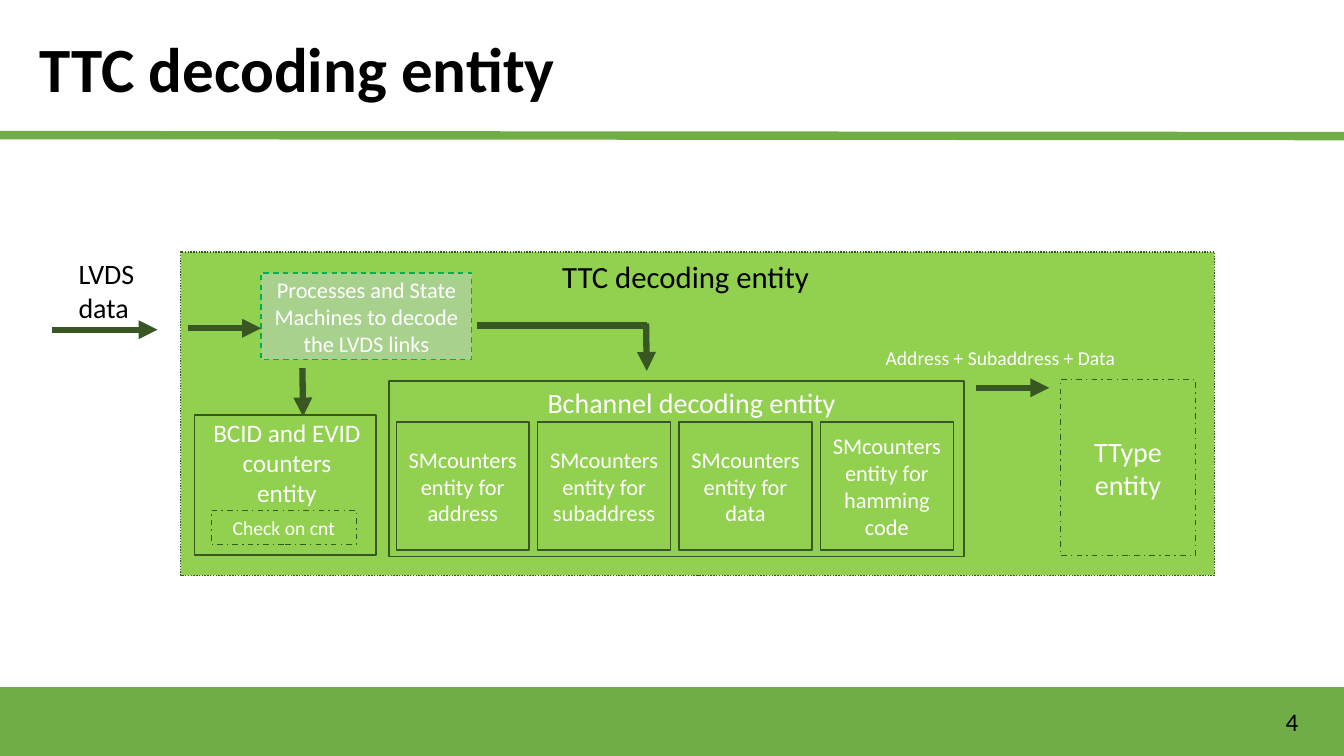
"""Builds the slide with the block diagram of the TTC decoding entity."""
from lxml.etree import SubElement
from pptx import Presentation
from pptx.dml.color import RGBColor
from pptx.enum.dml import MSO_LINE_DASH_STYLE as Dash
from pptx.enum.shapes import MSO_CONNECTOR as Connector, MSO_SHAPE as Shape
from pptx.enum.text import MSO_ANCHOR as Anchor, MSO_AUTO_SIZE as AutoSize, PP_ALIGN as Align
from pptx.oxml.ns import qn
from pptx.util import Pt

BLACK, WHITE = "000000", "FFFFFF"
BAND, BLOCK, EDGE = "70AD47", "92D050", "385723"
PALE, PALE_EDGE = "A9D18E", "00B050"


def color(hex_code):
    return RGBColor.from_string(hex_code)


class Diagram:
    font = "Calibri"

    def __init__(self, slide):
        self.slide = slide
        self.shapes = slide.shapes

    def add_lines(self, frame, lines, size, ink, align, bold=False):
        for index, line in enumerate(lines):
            paragraph = frame.add_paragraph() if index else frame.paragraphs[0]
            paragraph.alignment = align
            run = paragraph.add_run()
            run.text = line
            run.font.name = self.font
            run.font.size = Pt(size)
            run.font.bold = bold
            run.font.color.rgb = color(ink)

    def title(self, text, left, top, width, height):
        heading = self.shapes.title
        heading.left, heading.top = Pt(left), Pt(top)
        heading.width, heading.height = Pt(width), Pt(height)
        frame = heading.text_frame
        frame.vertical_anchor = Anchor.MIDDLE
        self.add_lines(frame, [text], 45, BLACK, Align.LEFT, bold=True)
        frame.paragraphs[0].line_spacing = 0.9

    def block(self, left, top, width, height, text="", size=16,
              fill=BLOCK, edge=EDGE, dash=None):
        block = self.shapes.add_shape(Shape.RECTANGLE, Pt(left), Pt(top), Pt(width), Pt(height))
        block.shadow.inherit = False
        block.fill.solid()
        block.fill.fore_color.rgb = color(fill)
        block.line.color.rgb = color(edge)
        block.line.width = Pt(1)
        if dash:
            block.line.dash_style = dash
        if text:
            block.text_frame.word_wrap = True
            block.text_frame.vertical_anchor = Anchor.MIDDLE
            self.add_lines(block.text_frame, [text], size, WHITE, Align.CENTER)

    def label(self, left, top, width, height, lines, size, ink=WHITE,
              align=Align.LEFT, wrap=False, anchor=Anchor.TOP):
        label = self.shapes.add_textbox(Pt(left), Pt(top), Pt(width), Pt(height))
        frame = label.text_frame
        frame.word_wrap = wrap
        frame.auto_size = AutoSize.NONE
        frame.vertical_anchor = anchor
        self.add_lines(frame, lines, size, ink, align)

    def line(self, x1, y1, x2, y2, ink=EDGE, weight=4.5, arrow=True):
        line = self.shapes.add_connector(Connector.STRAIGHT, Pt(x1), Pt(y1), Pt(x2), Pt(y2))
        line.line.color.rgb = color(ink)
        line.line.width = Pt(weight)
        properties = line.element.spPr
        if arrow:
            SubElement(properties.find(qn("a:ln")), qn("a:tailEnd"), type="triangle")
        SubElement(properties, qn("a:effectLst"))


deck = Presentation()
deck.slide_width, deck.slide_height = Pt(960), Pt(540)
diagram = Diagram(deck.slides.add_slide(deck.slide_layouts[5]))

diagram.block(0, 491, 960, 49, fill=BAND, edge=BAND)
diagram.title("TTC decoding entity", 21, -1, 828, 104.5)
diagram.label(718.5, 500.5, 216, 29, ["4"], 18, BLACK, Align.RIGHT, True, Anchor.MIDDLE)
diagram.line(0, 96.5, 960, 97.2, BAND, 6, arrow=False)

diagram.block(129, 180, 738.5, 231, dash=Dash.ROUND_DOT)
diagram.label(394.5, 180.5, 193, 34, ["TTC decoding entity"], 22, BLACK)
diagram.label(49, 180, 54.5, 55.5, ["LVDS", "data"], 20, BLACK)
diagram.block(186.5, 195, 150.5, 62, "Processes and State Machines to decode the LVDS links",
              fill=PALE, edge=PALE_EDGE, dash=Dash.DASH)

diagram.block(139, 296.5, 129.5, 100)
diagram.label(127.5, 294.5, 155, 72.5, ["BCID and EVID counters", "entity"], 18,
              align=Align.CENTER, wrap=True)
diagram.block(151, 364.5, 103.5, 24.5, "Check on cnt", 14, dash=Dash.DASH_DOT)

diagram.block(278, 272, 410.5, 125.5)
diagram.label(384, 271.5, 222.5, 31.5, ["Bchannel decoding entity"], 20)
for column, field in enumerate(["address", "subaddress", "data", "hamming code"]):
    diagram.block(283 + 101 * column, 301.5, 95, 91.5, f"SMcounters entity for {field}")

diagram.block(757.5, 271, 96.5, 126, "TType entity", 20, dash=Dash.DASH_DOT)
diagram.label(625.5, 243.5, 180, 24.5, ["Address + Subaddress + Data"], 14)

diagram.line(340.5, 232.5, 462, 232.5, arrow=False)
for flow in [(37.5, 235.5, 112.5, 235.5), (134, 234.5, 186.5, 234.5),
             (461.5, 231, 462, 265), (216, 263, 216.5, 297.5), (697, 277, 749.5, 277)]:
    diagram.line(*flow)

deck.save("out.pptx")
